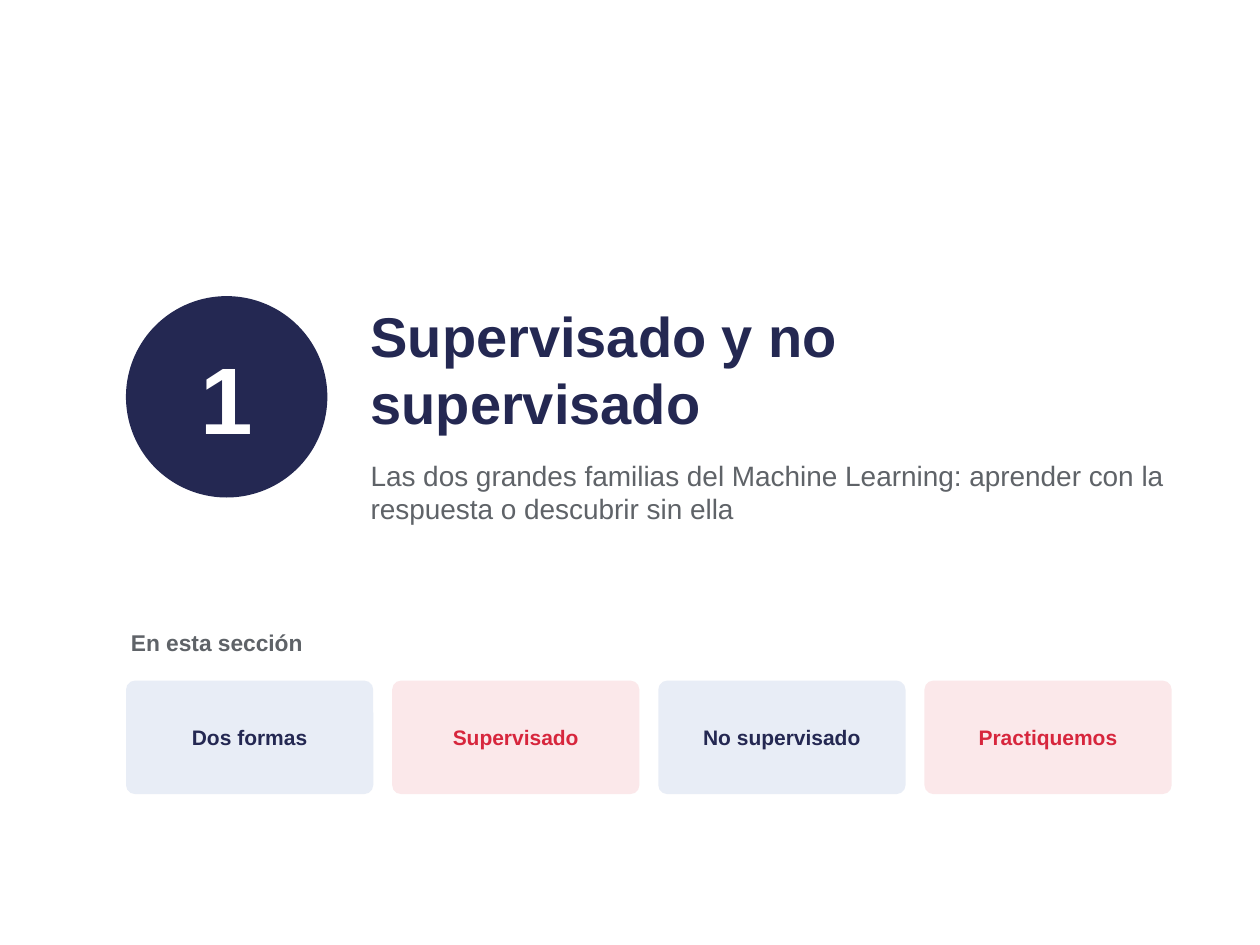
"""Build the section opener on supervised and unsupervised learning."""
from pptx import Presentation
from pptx.dml.color import RGBColor
from pptx.enum.shapes import MSO_SHAPE as Shape
from pptx.enum.text import MSO_ANCHOR as Anchor, MSO_AUTO_SIZE as AutoSize, PP_ALIGN as Align
from pptx.util import Cm, Pt

NAVY, RED, GRAY, WHITE = "242852", "D7263D", "5F6368", "FFFFFF"
PALE_BLUE, PALE_RED = "E8EDF6", "FBE8EA"


def write(box, text, size, color, bold=True, anchor=Anchor.TOP, align=Align.LEFT, inset=0.1, after=4):
    frame = box.text_frame
    frame.word_wrap = True
    frame.vertical_anchor = anchor
    frame.margin_left = frame.margin_right = Cm(inset)
    frame.margin_top = frame.margin_bottom = Cm(inset)
    para = frame.paragraphs[0]
    para.alignment = align
    para.space_after = Pt(after)
    span = para.add_run()
    span.text = text
    span.font.name = "Arial"
    span.font.size = Pt(size)
    span.font.bold = bold
    span.font.color.rgb = RGBColor.from_string(color)


def add_panel(kind, left, top, width, height, fill, text, size, color):
    panel = page.shapes.add_shape(kind, Cm(left), Cm(top), Cm(width), Cm(height))
    panel.shadow.inherit = False
    panel.fill.solid()
    panel.fill.fore_color.rgb = RGBColor.from_string(fill)
    panel.line.fill.background()
    write(panel, text, size, color, anchor=Anchor.MIDDLE, align=Align.CENTER, inset=0.2, after=3)
    return panel


deck = Presentation()
deck.slide_width, deck.slide_height = Cm(25.4), Cm(19.05)
page = deck.slides.add_slide(deck.slide_layouts[6])

margin, content_width, gap = 2.54, 21.08, 0.38
topics = ["Dos formas", "Supervisado", "No supervisado", "Practiquemos"]
card_width = (content_width - gap * (len(topics) - 1)) / len(topics)
for index, topic in enumerate(topics):
    fill, color = [(PALE_BLUE, NAVY), (PALE_RED, RED)][index % 2]
    left = margin + index * (card_width + gap)
    card = add_panel(Shape.ROUNDED_RECTANGLE, left, 13.72, card_width, 2.29, fill, topic, 12, color)
    card.adjustments[0] = 0.08

add_panel(Shape.OVAL, margin, 5.97, 4.06, 4.06, NAVY, "1", 54, WHITE)

subtitle = "Las dos grandes familias del Machine Learning: aprender con la respuesta o descubrir sin ella"
texts = [
    (margin, 12.57, content_width, 1.02, "En esta sección", 13, GRAY, True, Anchor.TOP),
    (7.37, 5.08, 16.26, 3.81, "Supervisado y no supervisado", 32, NAVY, True, Anchor.BOTTOM),
    (7.37, 9.14, 16.26, 3.05, subtitle, 16, GRAY, False, Anchor.TOP),
]
for left, top, width, height, text, size, color, bold, anchor in texts:
    box = page.shapes.add_textbox(Cm(left), Cm(top), Cm(width), Cm(height))
    write(box, text, size, color, bold, anchor)
    box.text_frame.auto_size = AutoSize.SHAPE_TO_FIT_TEXT

deck.save("out.pptx")
